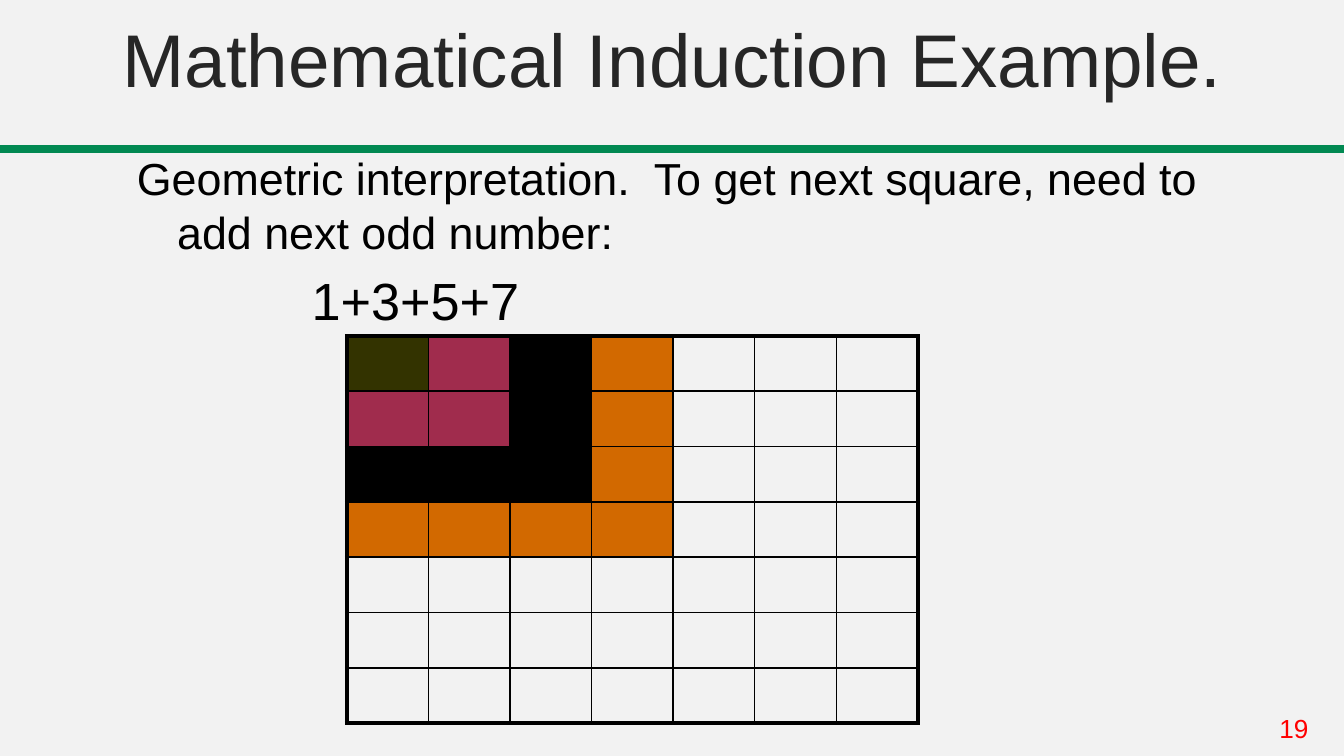
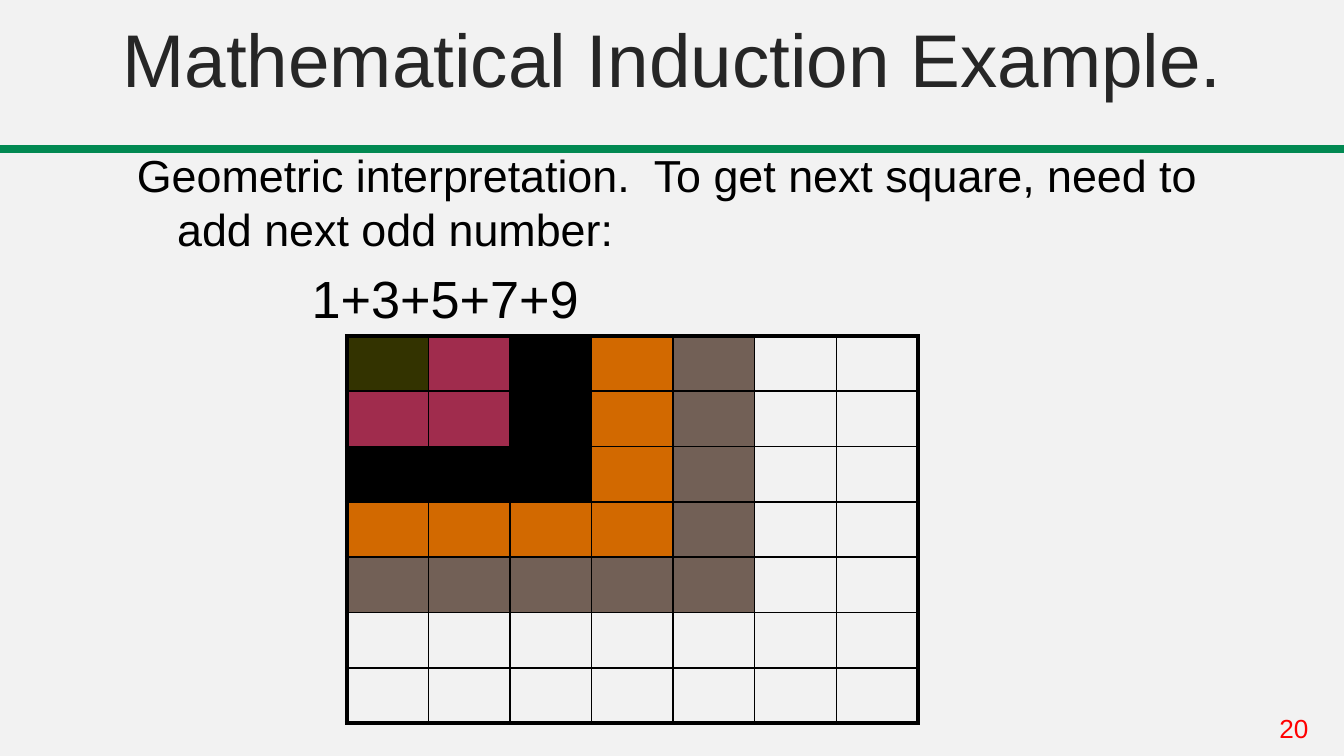
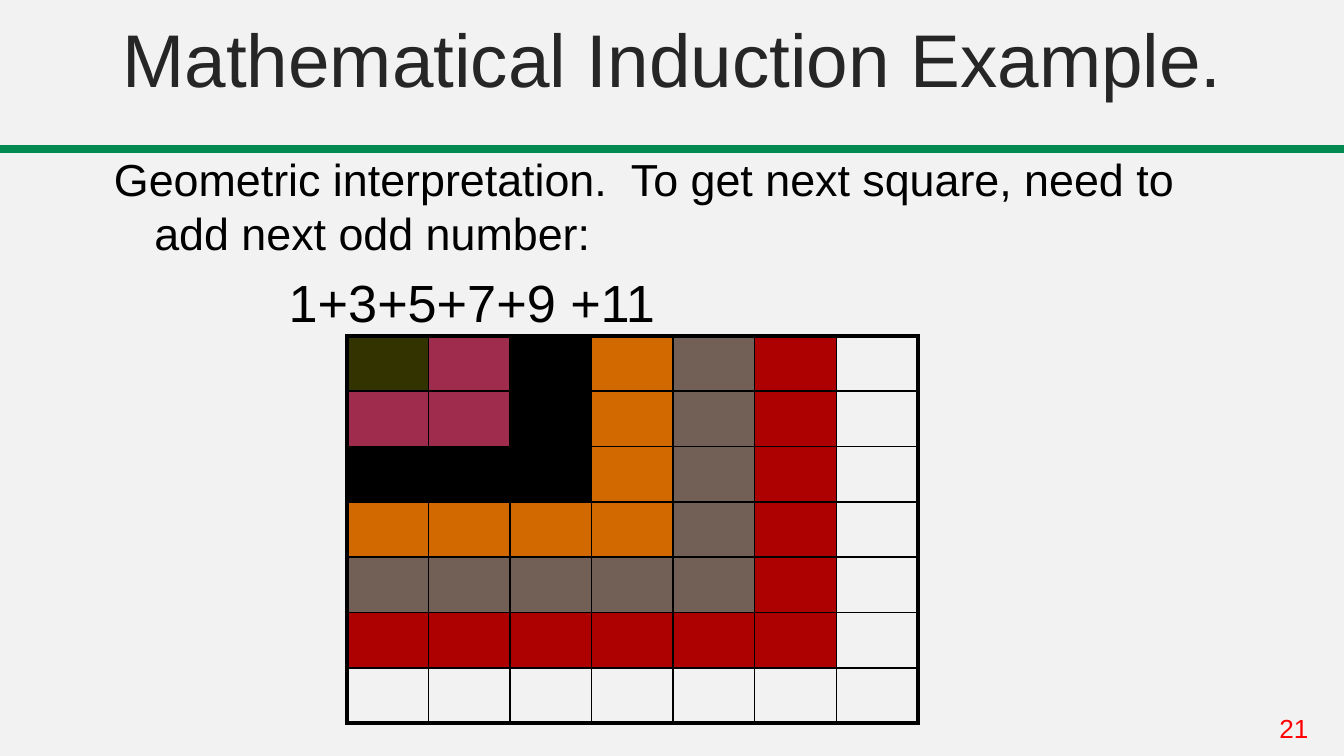
from lxml import etree
from pptx import Presentation
from pptx.dml.color import RGBColor
from pptx.enum.shapes import MSO_SHAPE
from pptx.enum.text import MSO_ANCHOR, MSO_AUTO_SIZE, PP_ALIGN
from pptx.oxml.ns import qn
from pptx.util import Inches, Pt

RECTANGLE = MSO_SHAPE.RECTANGLE
TOP, BOTTOM = MSO_ANCHOR.TOP, MSO_ANCHOR.BOTTOM
CENTER = PP_ALIGN.CENTER
NO_AUTOFIT = MSO_AUTO_SIZE.NONE

FONT = "Arial"
COLORS = {
    "background": "F2F2F2",
    "band": "018952",
    "title": "262626",
    "text": "000000",
    "number": "FF0000",
    "grid": "000000",
}
# Colour of each odd number's L-shaped layer, from 1 upwards
LAYER_COLORS = ["333300", "A02C4D", "000000", "D26900", "726056", "AD0101"]

TITLE = "Mathematical Induction Example."
INTRO = "Geometric interpretation.  To get next square, need to add next odd number:"
# page number, sum, layers filled, (left, top, width, height) of the text
STEPS = [
    (19, "1+3+5+7", 4, (0.92, 1.12, 8.25, 2.19)),
    (20, "1+3+5+7+9", 5, (0.92, 1.1, 8.25, 1.75)),
    (21, "1+3+5+7+9 +11", 6, (0.75, 1.13, 8.5, 1.81)),
]

GRID_SIZE = 7
GRID_LEFT, GRID_TOP = 2.58, 2.5
GRID_WIDTH, GRID_HEIGHT = 4.25, 2.88
THIN, THICK = 1, 2.25


def rgb(name):
    return RGBColor.from_string(COLORS[name])


def style(paragraph, size, color):
    paragraph.font.name = FONT
    paragraph.font.size = Pt(size)
    paragraph.font.color.rgb = rgb(color)


def indent(paragraph, left, first=0):
    properties = paragraph._p.get_or_add_pPr()
    properties.set("marL", str(Inches(left)))
    properties.set("indent", str(Inches(first)))


def add_text_frame(slide, box):
    frame = slide.shapes.add_textbox(*map(Inches, box)).text_frame
    frame.word_wrap = True
    return frame


def add_frame(prs, number):
    """Add a slide with the shared title, green band and page number."""
    slide = prs.slides.add_slide(prs.slide_layouts[5])

    title = slide.shapes.title
    title.left, title.top, title.width, title.height = map(Inches, (0, 0, 10, 0.81))
    title.text_frame.text = TITLE
    title.text_frame.auto_size = NO_AUTOFIT
    title.text_frame.vertical_anchor = BOTTOM
    heading = title.text_frame.paragraphs[0]
    heading.alignment = CENTER
    style(heading, 40, "title")

    band = slide.shapes.add_shape(RECTANGLE, *map(Inches, (0, 1.09, 10, 0.04)))
    band.shadow.inherit = False
    band.fill.solid()
    band.fill.fore_color.rgb = rgb("band")
    band.line.color.rgb = rgb("band")
    band.line.width = Pt(1.75)

    page = add_text_frame(slide, (9.42, 5.25, 0.58, 0.34))
    page.text = str(number)
    style(page.paragraphs[0], 14, "number")
    return slide


def add_explanation(slide, total, box):
    frame = add_text_frame(slide, box)
    frame.vertical_anchor = TOP
    frame.margin_top = 0
    intro = frame.paragraphs[0]
    intro.text = INTRO
    style(intro, 24, "text")
    indent(intro, 0.3, -0.3)

    addition = frame.add_paragraph()
    addition.text = total
    addition.space_before = Pt(5.6)
    style(addition, 28, "text")
    indent(addition, 1.3)


def set_borders(cell, row, column):
    """Draw thin lines inside the grid and thick ones around it."""
    last = GRID_SIZE - 1
    outer_sides = {"L": column == 0, "R": column == last,
                   "T": row == 0, "B": row == last}
    properties = cell._tc.get_or_add_tcPr()
    for side, outer in outer_sides.items():
        line = etree.SubElement(properties, qn(f"a:ln{side}"),
                                w=str(Pt(THICK if outer else THIN)))
        fill = etree.SubElement(line, qn("a:solidFill"))
        etree.SubElement(fill, qn("a:srgbClr"), val=COLORS["grid"])


def add_squares(slide, layers):
    grid = slide.shapes.add_table(
        GRID_SIZE, GRID_SIZE,
        *map(Inches, (GRID_LEFT, GRID_TOP, GRID_WIDTH, GRID_HEIGHT))).table
    grid.first_row = grid.horz_banding = False
    for row in range(GRID_SIZE):
        for column in range(GRID_SIZE):
            cell = grid.cell(row, column)
            set_borders(cell, row, column)
            layer = max(row, column)
            if layer < layers:
                cell.fill.solid()
                cell.fill.fore_color.rgb = RGBColor.from_string(LAYER_COLORS[layer])
            else:
                cell.fill.background()


def main():
    prs = Presentation()
    prs.slide_width = Inches(10)
    prs.slide_height = prs.slide_width * 9 // 16
    background = prs.slide_master.background.fill
    background.solid()
    background.fore_color.rgb = rgb("background")

    for number, total, layers, text_box in STEPS:
        slide = add_frame(prs, number)
        add_explanation(slide, total, text_box)
        add_squares(slide, layers)
    prs.save("out.pptx")


if __name__ == "__main__":
    main()
